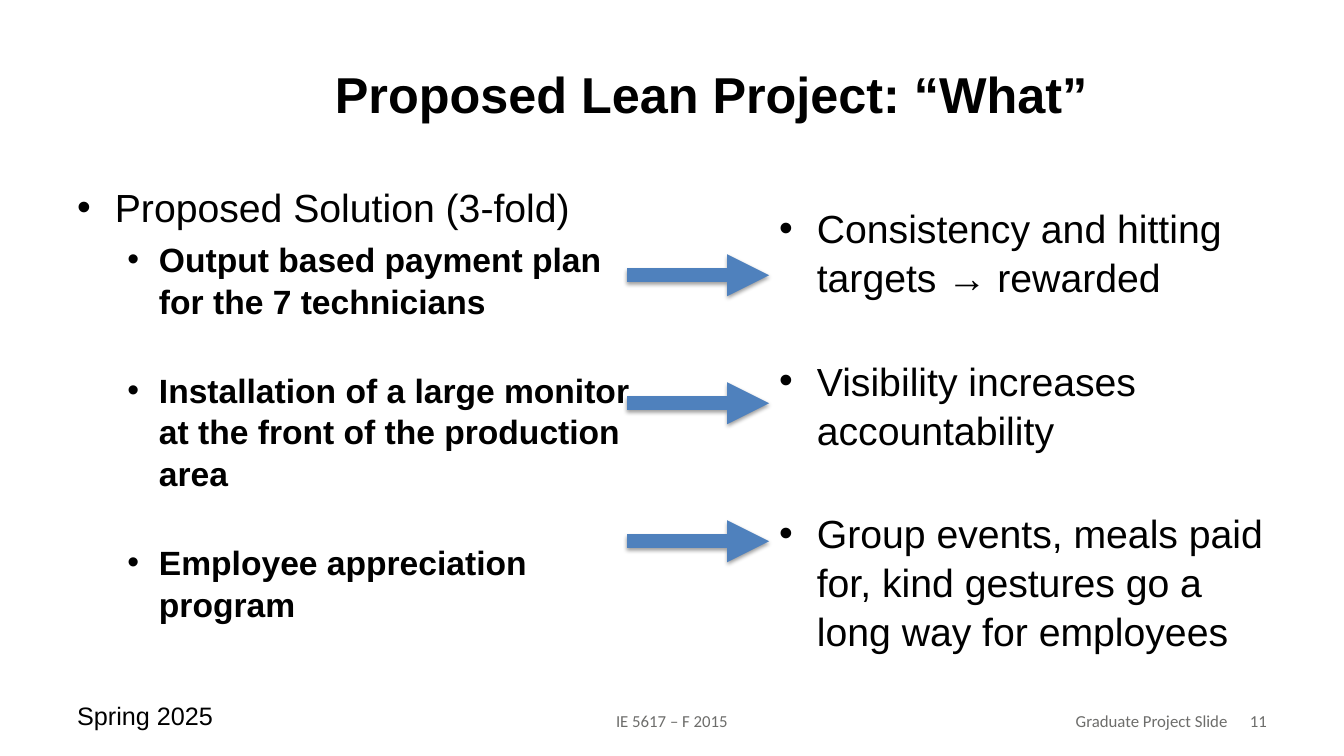
"""Build the slide on the proposed lean project and its expected effects."""
import pptx
import pptx.util
import pptx.dml.color
import pptx.enum.shapes
import pptx.enum.text
import pptx.oxml
import pptx.oxml.ns

Pt = pptx.util.Pt
ALIGN = pptx.enum.text.PP_ALIGN
ANCHOR = pptx.enum.text.MSO_ANCHOR
NS = pptx.oxml.ns.nsdecls("a")


def rgb(value):
    return pptx.dml.color.RGBColor.from_string(value)


def add_run(p, text, size, font="Arial", color="000000", bold=False):
    r = p.add_run()
    r.text = text
    r.font.size = Pt(size)
    r.font.name = font
    r.font.bold = bold
    r.font.color.rgb = rgb(color)


prs = pptx.Presentation()
prs.slide_width = Pt(960)
prs.slide_height = Pt(540)
s = prs.slides.add_slide(prs.slide_layouts[5])

title = s.shapes.title
title.left, title.top, title.width, title.height = Pt(232), Pt(21.6), Pt(680), Pt(90)
tf = title.text_frame
tf.vertical_anchor = ANCHOR.MIDDLE
p = tf.paragraphs[0]
p.alignment = ALIGN.LEFT
add_run(p, "Proposed Lean Project: “What”", 36, bold=True)

# (text, level, space before)
solutions = [
    ("Proposed Solution (3-fold)", 0, 0),
    ("Output based payment plan for the 7 technicians", 1, 4.8),
    ("Installation of a large monitor at the front of the production area", 1, 33.6),
    ("Employee appreciation program", 1, 33.6),
]
effects = [
    ("Consistency and hitting targets → rewarded", 0, 0),
    ("Visibility increases accountability", 0, 39.2),
    ("Group events, meals paid for, kind gestures go a long way for employees", 0, 39.2),
]
levels = [(27, 27, 28, False), (58.5, 22.5, 24, True)]

for left, top, width, height, items in [
    (48, 126, 424, 356, solutions),
    (549.4, 141, 362.6, 327, effects),
]:
    tf = s.shapes.add_textbox(Pt(left), Pt(top), Pt(width), Pt(height)).text_frame
    tf.word_wrap = True
    for i, (text, level, before) in enumerate(items):
        margin, hanging, size, bold = levels[level]
        p = tf.add_paragraph() if i else tf.paragraphs[0]
        p.level = level
        pPr = p._p.get_or_add_pPr()
        pPr.set("marL", str(Pt(margin)))
        pPr.set("indent", str(-Pt(hanging)))
        pPr.append(pptx.oxml.parse_xml(f'<a:buFont {NS} typeface="Arial"/>'))
        pPr.append(pptx.oxml.parse_xml(f'<a:buChar {NS} char="•"/>'))
        p.line_spacing = 1.04
        p.space_before = Pt(before)
        add_run(p, text, size, bold=bold)

for y in (196.6, 288, 386.6):
    arrow = s.shapes.add_connector(
        pptx.enum.shapes.MSO_CONNECTOR.STRAIGHT, Pt(448), Pt(y), Pt(549.4), Pt(y))
    arrow.line.width = Pt(10)
    arrow.line.color.rgb = rgb("4F81BD")
    arrow.line._get_or_add_ln().append(
        pptx.oxml.parse_xml(f'<a:tailEnd {NS} type="triangle"/>'))
    arrow._element.spPr.append(pptx.oxml.parse_xml(
        f'<a:effectLst {NS}><a:outerShdw blurRad="{Pt(3.1)}" dist="{Pt(1.6)}" '
        'dir="5400000" rotWithShape="0"><a:srgbClr val="000000">'
        '<a:alpha val="38000"/></a:srgbClr></a:outerShdw></a:effectLst>'))

sp = s.shapes.add_textbox(Pt(48), Pt(497), Pt(112), Pt(29))
sp.text_frame.word_wrap = False
add_run(sp.text_frame.paragraphs[0], "Spring 2025", 18)

for text, left, width, align in [
    ("IE 5617 – F 2015", 328, 304, ALIGN.CENTER),
    ("Graduate Project Slide", 695, 189, ALIGN.RIGHT),
    ("11", 688, 224, ALIGN.RIGHT),
]:
    tf = s.shapes.add_textbox(Pt(left), Pt(500.5), Pt(width), Pt(29)).text_frame
    tf.word_wrap = True
    tf.vertical_anchor = ANCHOR.MIDDLE
    p = tf.paragraphs[0]
    p.alignment = align
    add_run(p, text, 12, "Calibri", "6D6D6B")

prs.save("out.pptx")
